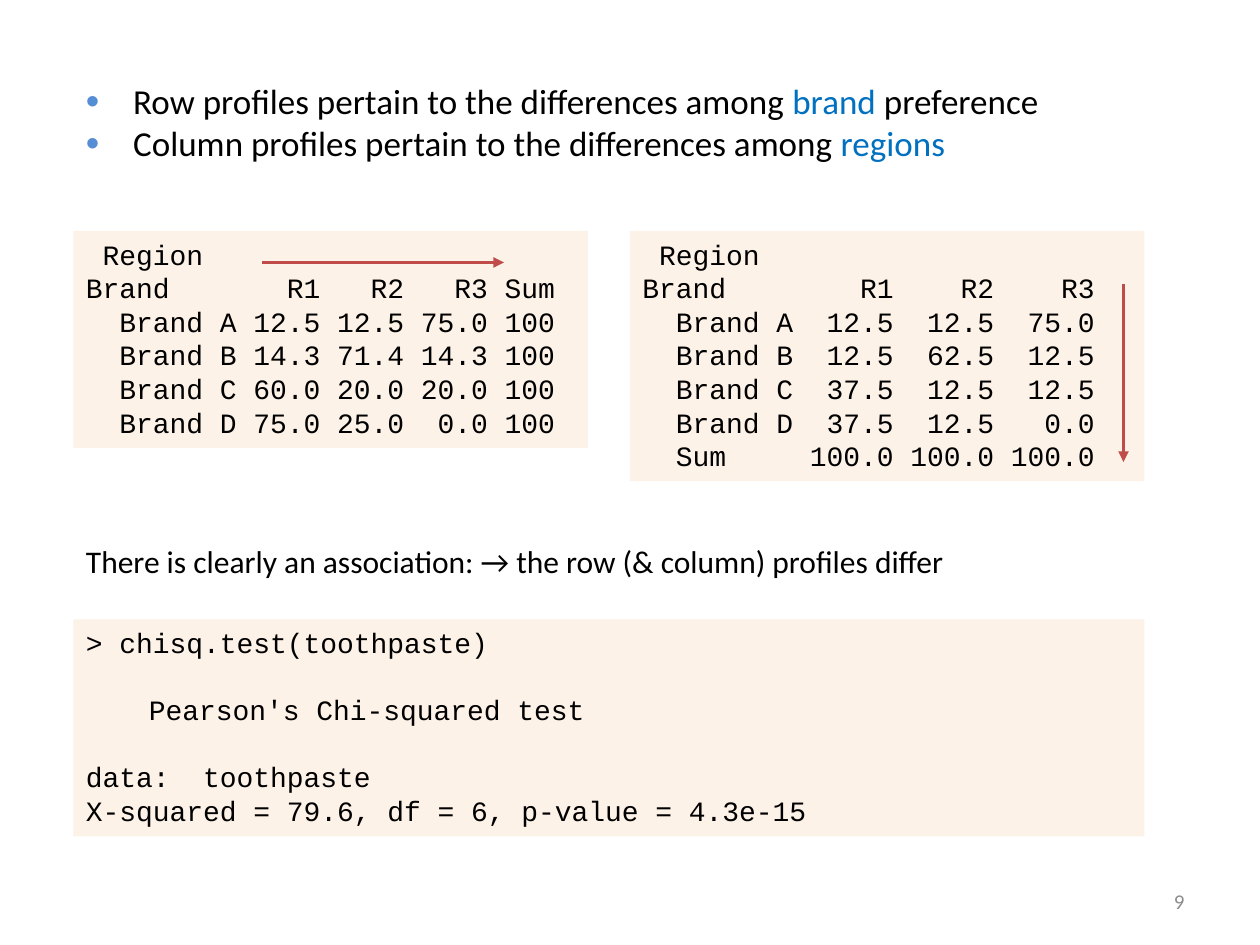
from dataclasses import dataclass

from lxml import etree
from pptx import Presentation
from pptx.dml.color import RGBColor
from pptx.enum.shapes import MSO_CONNECTOR, MSO_SHAPE
from pptx.enum.text import MSO_ANCHOR, MSO_AUTO_SIZE, PP_ALIGN
from pptx.oxml.ns import qn
from pptx.util import Pt

RECT = MSO_SHAPE.RECTANGLE
LINE = MSO_CONNECTOR.STRAIGHT
TOP, MIDDLE = MSO_ANCHOR.TOP, MSO_ANCHOR.MIDDLE
LEFT, RIGHT = PP_ALIGN.LEFT, PP_ALIGN.RIGHT
FIT, FIXED = MSO_AUTO_SIZE.SHAPE_TO_FIT_TEXT, MSO_AUTO_SIZE.NONE

BODY, CODE = "Calibri", "Courier New"
BLACK, GREY, BLUE = "000000", "8C8C8C", "0070C0"
DOT, CREAM, RED = "558ED5", "FDEADA", "BF4C48"
EDGE, WIDE, HALF = 42, 612, 294
ROW = 19.2


@dataclass
class Box:
    x: float
    y: float
    w: float
    h: float

    def lengths(self) -> list:
        return [Pt(n) for n in (self.x, self.y, self.w, self.h)]


@dataclass
class Line:
    text: str
    key: str = ""
    tail: str = ""
    gap: float = 0


@dataclass
class Arrow:
    x1: float
    y1: float
    x2: float
    y2: float


@dataclass
class Panel:
    box: Box
    lines: list[Line]
    arrow: Arrow


def hue(code: str) -> RGBColor:
    return RGBColor.from_string(code)


def add_dot(para) -> None:
    """Give a paragraph a coloured bullet with a hanging indent."""
    props = para._p.get_or_add_pPr()
    props.set("marL", str(Pt(27)))
    props.set("indent", str(Pt(-27)))
    tint = etree.SubElement(props, qn("a:buClr"))
    etree.SubElement(tint, qn("a:srgbClr"), val=DOT)
    etree.SubElement(props, qn("a:buSzPct"), val="110000")
    etree.SubElement(props, qn("a:buFont"), typeface="Arial")
    etree.SubElement(props, qn("a:buChar"), char="•")


def put_text(shape, lines: list[Line], *, size: float, font: str = BODY,
             color: str = BLACK, align=LEFT, anchor=TOP, fit=FIT,
             dots: bool = False) -> None:
    frame = shape.text_frame
    frame.word_wrap = True
    frame.auto_size = fit
    frame.vertical_anchor = anchor
    for i, line in enumerate(lines):
        para = frame.add_paragraph() if i else frame.paragraphs[0]
        para.alignment = align
        if line.gap:
            para.space_before = Pt(line.gap)
        if dots:
            add_dot(para)
        for part, tone in ((line.text, color), (line.key, BLUE),
                           (line.tail, color)):
            if part:
                run = para.add_run()
                run.text = part
                run.font.name = font
                run.font.size = Pt(size)
                run.font.color.rgb = hue(tone)


def add_text(shapes, box: Box, lines: list[Line], **form) -> None:
    put_text(shapes.add_textbox(*box.lengths()), lines, **form)


def add_code(shapes, box: Box, lines: list[Line]) -> None:
    """Draw code on a see-through cream panel."""
    shape = shapes.add_shape(RECT, *box.lengths())
    shape.shadow.inherit = False
    shape.fill.solid()
    shape.fill.fore_color.rgb = hue(CREAM)
    tint = shape._element.spPr.find(".//" + qn("a:srgbClr"))
    etree.SubElement(tint, qn("a:alpha"), val="60000")
    shape.line.fill.background()
    put_text(shape, lines, size=16, font=CODE)


def add_arrow(shapes, arrow: Arrow) -> None:
    ends = (arrow.x1, arrow.y1, arrow.x2, arrow.y2)
    link = shapes.add_connector(LINE, *[Pt(n) for n in ends])
    link.line.color.rgb = hue(RED)
    link.line.width = Pt(2)
    etree.SubElement(link.line._get_or_add_ln(), qn("a:tailEnd"),
                     type="triangle")
    etree.SubElement(link._element.spPr, qn("a:effectLst"))


def add_panel(shapes, panel: Panel) -> None:
    group = shapes.add_group_shape()
    add_code(group.shapes, panel.box, panel.lines)
    add_arrow(group.shapes, panel.arrow)


POINTS = [
    Line("Row profiles pertain to the differences among ",
         "brand", " preference"),
    Line("Column profiles pertain to the differences among ", "regions"),
]
CLAIM = "There is clearly an association: → the row (& column) profiles differ"
TEST = [
    Line("> chisq.test(toothpaste)"),
    Line("\tPearson's Chi-squared test", gap=ROW),
    Line("data:  toothpaste", gap=ROW),
    Line("X-squared = 79.6, df = 6, p-value = 4.3e-15"),
]
COLS = [
    Line(" Region"),
    Line("Brand        R1    R2    R3"),
    Line("  Brand A  12.5  12.5  75.0"),
    Line("  Brand B  12.5  62.5  12.5"),
    Line("  Brand C  37.5  12.5  12.5"),
    Line("  Brand D  37.5  12.5   0.0"),
    Line("  Sum     100.0 100.0 100.0"),
]
ROWS = [
    Line(" Region"),
    Line("Brand       R1   R2   R3 Sum"),
    Line("  Brand A 12.5 12.5 75.0 100"),
    Line("  Brand B 14.3 71.4 14.3 100"),
    Line("  Brand C 60.0 20.0 20.0 100"),
    Line("  Brand D 75.0 25.0  0.0 100"),
]
PANELS = [
    Panel(Box(360, 132, HALF, 143), COLS, Arrow(642, 162, 642, 264)),
    Panel(Box(EDGE, 132, HALF, 124), ROWS, Arrow(150, 150, 288, 150)),
]


def main() -> None:
    deck = Presentation()
    deck.slide_width, deck.slide_height = Pt(720), Pt(540)
    shapes = deck.slides.add_slide(deck.slide_layouts[6]).shapes
    add_text(shapes, Box(516, 500.5, 168, 28.75), [Line("9")], size=12,
             color=GREY, align=RIGHT, anchor=MIDDLE, fit=FIXED)
    add_text(shapes, Box(EDGE, 42, WIDE, 55.75), POINTS, size=20, dots=True)
    add_text(shapes, Box(EDGE, 306, 588, 29), [Line(CLAIM)], size=18)
    add_code(shapes, Box(EDGE, 354, WIDE, 124), TEST)
    for panel in PANELS:
        add_panel(shapes, panel)
    deck.save("out.pptx")


if __name__ == "__main__":
    main()
